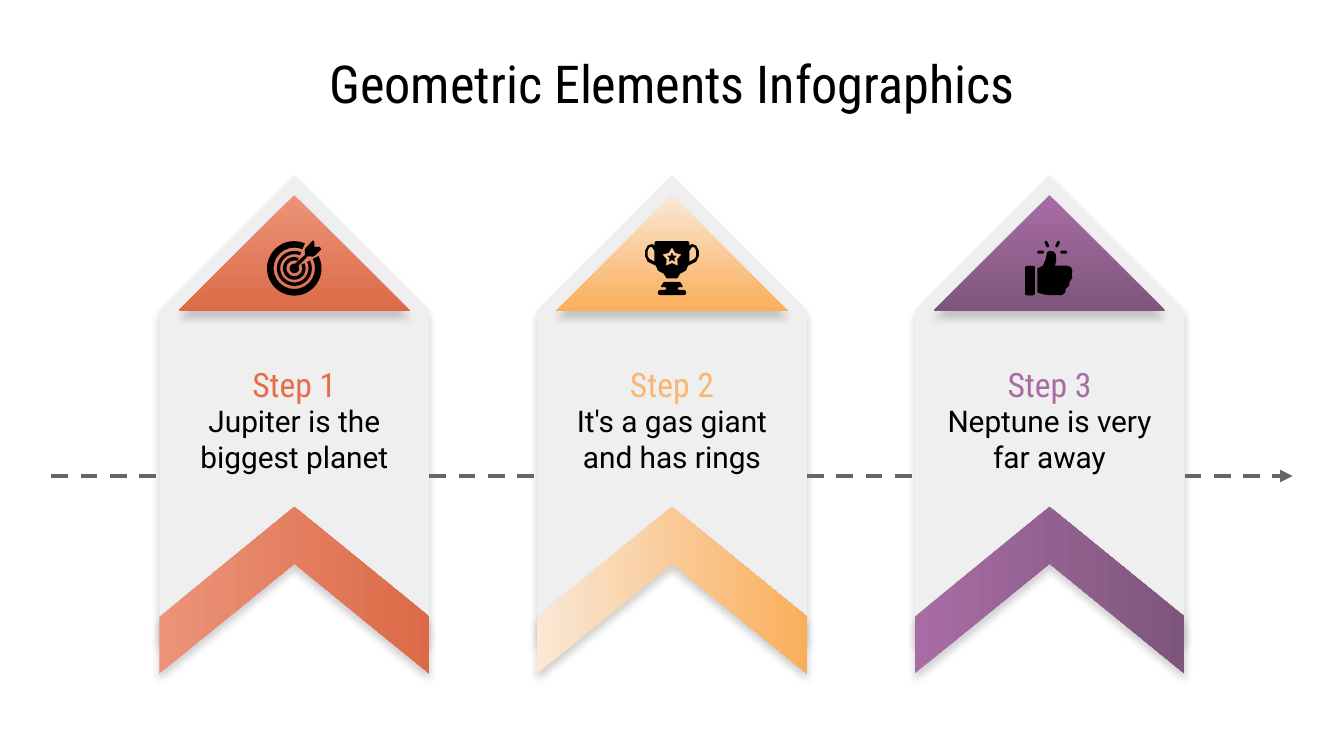
from math import cos, pi, sin

from lxml import etree
from pptx import Presentation
from pptx.dml.color import RGBColor
from pptx.enum.dml import MSO_LINE
from pptx.enum.shapes import MSO_CONNECTOR, MSO_SHAPE
from pptx.enum.text import MSO_ANCHOR, MSO_AUTO_SIZE, PP_ALIGN
from pptx.oxml.ns import qn
from pptx.util import Pt

CHEVRON, TRIANGLE = MSO_SHAPE.CHEVRON, MSO_SHAPE.ISOSCELES_TRIANGLE
ARC, OVAL, ROUNDED = MSO_SHAPE.BLOCK_ARC, MSO_SHAPE.OVAL, MSO_SHAPE.ROUNDED_RECTANGLE
STRAIGHT, DASH = MSO_CONNECTOR.STRAIGHT, MSO_LINE.DASH
CENTER, TOP, MIDDLE = PP_ALIGN.CENTER, MSO_ANCHOR.TOP, MSO_ANCHOR.MIDDLE
NO_FIT = MSO_AUTO_SIZE.NONE

BLACK = RGBColor(0x00, 0x00, 0x00)
CARD_GRAY = RGBColor(0xEF, 0xEF, 0xEF)
LINE_GRAY = RGBColor(0x66, 0x66, 0x66)
ORANGE = RGBColor(0xE7, 0x6D, 0x48)
ORANGE_LIGHT = RGBColor(0xEB, 0x94, 0x79)
ORANGE_DARK = RGBColor(0xDC, 0x6A, 0x47)
YELLOW = RGBColor(0xF9, 0xB6, 0x71)
YELLOW_LIGHT = RGBColor(0xFA, 0xE8, 0xD5)
YELLOW_DARK = RGBColor(0xFA, 0xAE, 0x5B)
PURPLE = RGBColor(0xA8, 0x6C, 0xA5)
PURPLE_DARK = RGBColor(0x7E, 0x56, 0x7C)

HEADING_FONT, BODY_FONT = "Roboto Condensed", "Roboto"

# Geometry in points
SLIDE_WIDTH, SLIDE_HEIGHT = 720, 405
CARD_WIDTH, CARD_STEP = 144.7, 202.3
TEXT_WIDTH = 124
ICON_Y = 143.8
TIMELINE_Y, TIMELINE_MARGIN = 255, 27.5

# Icon outlines, measured from the icon centre
DART = [(10.1, -15.1), (6.2, -11), (5.6, -10), (5.8, -7.2), (0.5, -2.6), (0, 0),
        (2.2, -1.4), (7.2, -6.5), (10.1, -6.3), (11, -6.8), (14.4, -10.1),
        (13.7, -11.5), (10.8, -11.5), (10.8, -13.7)]
CUP_HALF = [(8.6, -14.6), (9.4, -13.7), (9.4, -12.4), (10.8, -13), (13, -12.2),
            (14.4, -9.4), (14.4, -6.5), (13, -3.6), (8.6, -1.4), (7.5, 1.2),
            (4.3, 2.9), (2.9, 5.4)]
HANDLE = [(9.4, -3.6), (12.2, -5.2), (13, -6.5), (13, -9.4), (12.2, -11.2),
          (10.8, -11.5), (9.4, -9.4)]
BASE_HALF = [(4.3, 7.2), (5.8, 9.4), (5.8, 10.1), (3.6, 10.1), (2.9, 10.8),
             (3.6, 11.5), (6.5, 11.5), (7.6, 12.4), (7.6, 13.7), (6.5, 14.4)]
HAND = [(0, -9.4), (-1.4, -8.6), (-2, -5), (-3.6, -1.4), (-6.5, 0), (-6.5, 13),
        (-3, 14), (0.7, 14.4), (6.5, 14.4), (8.4, 13), (8.8, 10.8), (10.4, 9.4),
        (10.8, 7.2), (12.2, 5), (11.9, 2.9), (12.2, 1.4), (11.5, -0.7),
        (9.4, -1.4), (2.9, -1.4), (3.6, -4), (3.4, -7.4), (2.3, -9)]


def add_plain_shape(slide, kind, center_x, center_y, width, height, rotation=0):
    """Add a black preset shape around its centre, without line or shadow."""
    shape = slide.shapes.add_shape(kind, Pt(center_x - width / 2),
                                   Pt(center_y - height / 2), Pt(width), Pt(height))
    shape.rotation = rotation
    shape.shadow.inherit = False
    shape.line.fill.background()
    shape.fill.solid()
    shape.fill.fore_color.rgb = BLACK
    return shape


def add_outline(slide, center_x, *contours):
    """Add a black freeform; inner contours become holes."""
    contours = [[(Pt(center_x + x), Pt(ICON_Y + y)) for x, y in contour]
                for contour in contours]
    builder = slide.shapes.build_freeform(*contours[0][0], scale=1.0)
    builder.add_line_segments(contours[0][1:], close=True)
    for contour in contours[1:]:
        builder.move_to(*contour[0])
        builder.add_line_segments(contour[1:], close=True)
    shape = builder.convert_to_shape()
    shape.shadow.inherit = False
    shape.line.fill.background()
    shape.fill.solid()
    shape.fill.fore_color.rgb = BLACK


def add_soft_shadow(shape):
    effects = shape._element.spPr.find(qn("a:effectLst"))
    shadow = etree.SubElement(effects, qn("a:outerShdw"), blurRad=str(Pt(4.5)),
                              dist=str(Pt(3.75)), dir="5400000", algn="bl",
                              rotWithShape="0")
    color = etree.SubElement(shadow, qn("a:srgbClr"), val=str(BLACK))
    etree.SubElement(color, qn("a:alpha"), val="18000")


def fill_gradient(shape, colors):
    shape.fill.gradient()
    shape.fill.gradient_angle = 270
    for stop, color in zip(shape.fill.gradient_stops, colors):
        stop.color.rgb = color


def write_text(shape, text, font, size, color, anchor=MIDDLE):
    frame = shape.text_frame
    frame.word_wrap = True
    frame.auto_size = NO_FIT
    frame.vertical_anchor = anchor
    frame.margin_left = frame.margin_right = Pt(7.2)
    frame.margin_top = frame.margin_bottom = Pt(7.2)
    paragraph = frame.paragraphs[0]
    paragraph.alignment = CENTER
    run = paragraph.add_run()
    run.text = text
    run.font.name, run.font.size, run.font.color.rgb = font, Pt(size), color


def add_label(slide, center_x, top, height, *text_format):
    box = slide.shapes.add_textbox(Pt(center_x - TEXT_WIDTH / 2), Pt(top),
                                   Pt(TEXT_WIDTH), Pt(height))
    write_text(box, *text_format)


def add_title(slide, text):
    title = slide.shapes.title
    title.left, title.top, title.width, title.height = Pt(28.5), Pt(20), Pt(663), Pt(45)
    write_text(title, text, HEADING_FONT, 28, BLACK, TOP)


def add_card(slide, center_x, heading, text, color, gradient):
    # Upright chevrons are turned, so width is their length
    body = add_plain_shape(slide, CHEVRON, center_x, 219.2, 250.6, CARD_WIDTH, 270)
    body.fill.fore_color.rgb = CARD_GRAY
    roof = add_plain_shape(slide, TRIANGLE, center_x, 135.5, 124, 62)
    foot = add_plain_shape(slide, CHEVRON, center_x, 316.2, 89.3, CARD_WIDTH, 270)
    foot.adjustments[0] = 0.66
    for shape in (roof, foot):
        fill_gradient(shape, gradient)
    for shape in (body, roof, foot):
        add_soft_shadow(shape)
    add_label(slide, center_x, 218, 34, text, BODY_FONT, 16, BLACK)
    add_label(slide, center_x, 196, 19.5, heading, HEADING_FONT, 18, color)


def add_target_icon(slide, center_x):
    for diameter, thickness in ((29.2, 3.5), (18.8, 1.8), (12.2, 1.8)):
        ring = add_plain_shape(slide, ARC, center_x, ICON_Y, diameter, diameter)
        # Arc angles count in units of 1/0.6 degree; the gap holds the dart
        ring.adjustments[0] = 333 * 0.6
        ring.adjustments[1] = 293 * 0.6
        ring.adjustments[2] = thickness / diameter
    add_plain_shape(slide, OVAL, center_x, ICON_Y, 5.2, 5.2)
    add_outline(slide, center_x, DART)


def mirror(points):
    return [(-x, y) for x, y in reversed(points)]


def star(outer, inner, center_y=-5.8):
    radii = [outer, inner] * 5
    return [(radius * sin(i * pi / 5), center_y - radius * cos(i * pi / 5))
            for i, radius in enumerate(radii)]


def add_trophy_icon(slide, center_x):
    add_outline(slide, center_x, CUP_HALF + mirror(CUP_HALF), HANDLE,
                mirror(HANDLE), star(5.4, 3))
    add_outline(slide, center_x, star(2.7, 1.3))
    add_outline(slide, center_x, BASE_HALF + mirror(BASE_HALF))


def add_thumb_icon(slide, center_x):
    add_outline(slide, center_x, HAND)
    add_plain_shape(slide, ROUNDED, center_x - 10.5, ICON_Y + 6.5, 5.2, 15.8)
    for x, y, rotation in ((-4.8, -8.7, 0), (-1.5, -13, 65), (4.3, -13, 295), (7.5, -8.7, 0)):
        spark = add_plain_shape(slide, ROUNDED, center_x + x, ICON_Y + y, 3.6, 1.6, rotation)
        spark.adjustments[0] = 0.5


def add_dashed_line(slide, start_x, end_x, arrow):
    connector = slide.shapes.add_connector(STRAIGHT, Pt(start_x), Pt(TIMELINE_Y),
                                           Pt(end_x), Pt(TIMELINE_Y))
    connector.line.color.rgb = LINE_GRAY
    connector.line.width = Pt(2.25)
    connector.line.dash_style = DASH
    if arrow:
        etree.SubElement(connector.line._get_or_add_ln(), qn("a:tailEnd"), type="triangle")
    etree.SubElement(connector._element.spPr, qn("a:effectLst"))


def main():
    presentation = Presentation()
    presentation.slide_width, presentation.slide_height = Pt(SLIDE_WIDTH), Pt(SLIDE_HEIGHT)
    slide = presentation.slides.add_slide(presentation.slide_layouts[5])
    add_title(slide, "Geometric Elements Infographics")

    # Cards with their icons
    steps = [
        ("Jupiter is the biggest planet", ORANGE, (ORANGE_LIGHT, ORANGE_DARK), add_target_icon),
        ("It's a gas giant and has rings", YELLOW, (YELLOW_LIGHT, YELLOW_DARK), add_trophy_icon),
        ("Neptune is very far away", PURPLE, (PURPLE, PURPLE_DARK), add_thumb_icon),
    ]
    centers = [SLIDE_WIDTH / 2 + (i - 1) * CARD_STEP for i in range(len(steps))]
    for i, (center_x, (text, color, gradient, add_icon)) in enumerate(zip(centers, steps), 1):
        add_card(slide, center_x, f"Step {i}", text, color, gradient)
        add_icon(slide, center_x)

    # Timeline between the cards
    starts = [TIMELINE_MARGIN] + [x + CARD_WIDTH / 2 for x in centers]
    ends = [x - CARD_WIDTH / 2 for x in centers] + [SLIDE_WIDTH - TIMELINE_MARGIN]
    for start_x, end_x in zip(starts, ends):
        add_dashed_line(slide, start_x, end_x, arrow=end_x == ends[-1])

    presentation.save("out.pptx")


if __name__ == "__main__":
    main()
